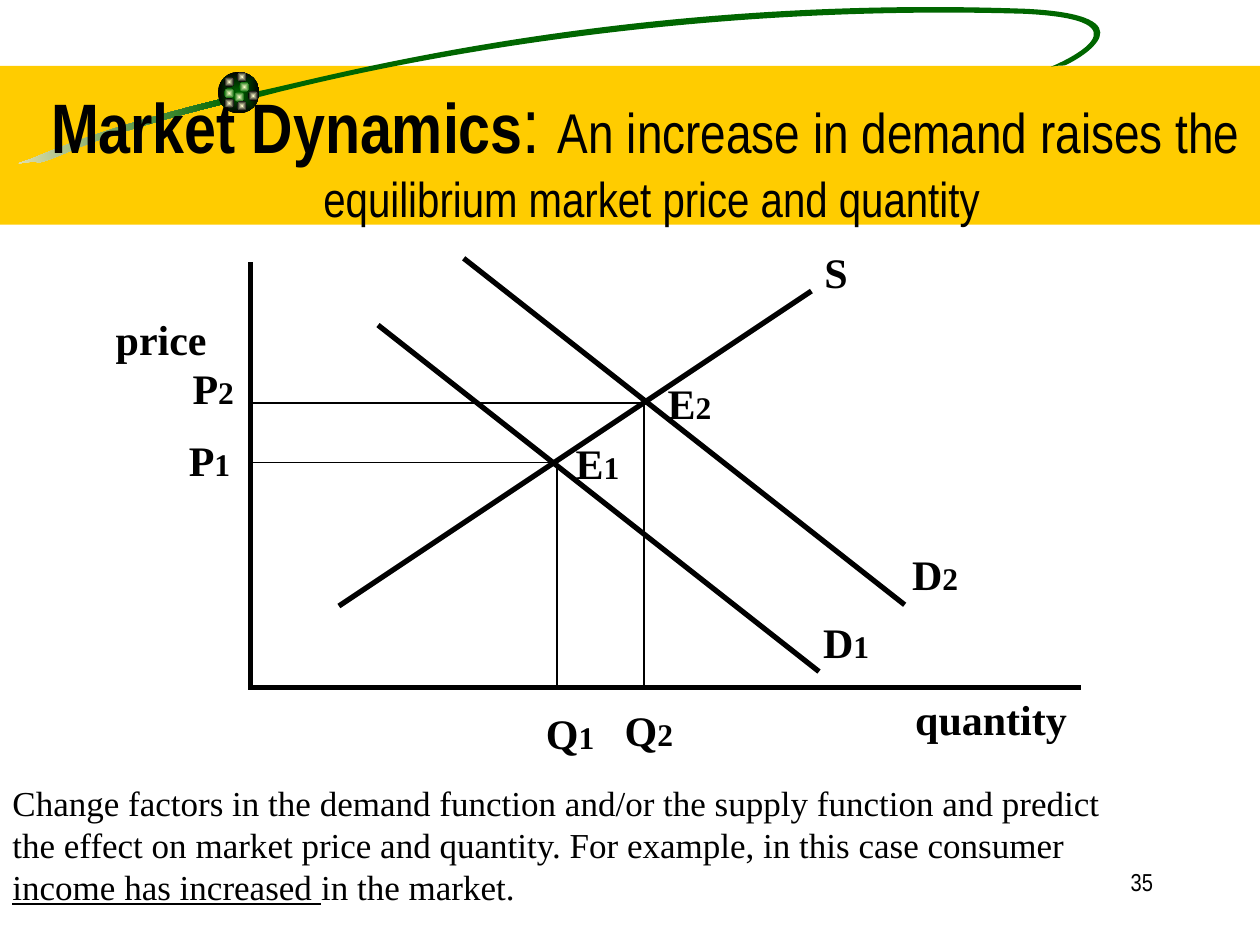
import math
import pptx
import pptx.dml.color
import pptx.enum.dml
import pptx.enum.shapes
import pptx.enum.text
import pptx.util
import lxml.etree

CELL = 0.1  # inches: the slide is a grid of 100 columns and 75 rows
SANS, SERIF = "Arial Narrow", "Times New Roman"
BLACK, GREEN, GOLD, CREAM = "000000", "006600", "FFCC00", "FFFFCC"
A = "http://schemas.openxmlformats.org/drawingml/2006/main"
OVAL = pptx.enum.shapes.MSO_SHAPE.OVAL
BAND = pptx.enum.shapes.MSO_SHAPE.RECTANGLE

TILT = -8.5  # degrees
TAIL_CENTRE, ORBIT_CENTRE = (8.9, 10.6), (55.9, 3.95)
TAIL = [(17.8, 7.8),
        (9.1, 9.9), (4.9, 11.6), (2.5, 12.6),
        (0.1, 13.4), (2.6, 12.6), (3.1, 12.9),
        (5.7, 12.2), (5.7, 11.3), (17.9, 8.2),
        (17.9, 8.2), (17.8, 7.8), (17.8, 7.8)]
ORBIT = [(20.2, 7.3),
         (24.6, 6.5), (48.6, -0.5), (81.4, 0.7),
         (91.7, 1.2), (85.7, 4.7), (84.5, 5.2),
         (84.5, 5.2), (83.8, 5.2), (83.4, 5.3),
         (84.4, 4.9), (91.7, 1.6), (81.3, 1.1),
         (54.8, 0.3), (32, 4.7), (20.6, 7.7),
         (20.6, 7.7), (20.2, 7.3), (20.2, 7.3)]
GREEN_SPARKS = [(19, 6.5), (17.8, 7), (18.6, 7.3)]
DARK_SPARKS = [(17.8, 6.1), (19.7, 7.2), (18.8, 8), (17.8, 7.8), (18.8, 5.7)]

# Per market state: demand curve start, equilibrium, then label places
MARKETS = {
    "1": ((30, 25.8), (44.2, 36.7),
          {"E": (44.7, 34.2, 5.7), "D": (64.35, 48.4, 14.3),
           "P": (14, 34, 5.5), "Q": (42.35, 55.65, 6)}),
    "2": ((36.8, 20.5), (51.1, 32),
          {"E": (52, 29.45, 5.7), "D": (71.4, 43, 14.3),
           "P": (14.3, 28.25, 5.5), "Q": (48.6, 55.4, 6)}),
}
AXIS_LEFT, AXIS_BOTTOM = 19.9, 54.54
NOTE = [("Change factors in the demand function and/or the supply function and "
         "predict the effect on market price and quantity. For example, in this "
         "case consumer ", 20),
        ("income has increased ", 20, {"underline": True}),
        ("in the market.", 20)]


def grid(*cells):
    """Turn grid columns or rows into lengths."""
    return [pptx.util.Inches(cell * CELL) for cell in cells]


def color(value):
    """Turn a hex string into a colour."""
    return pptx.dml.color.RGBColor.from_string(value)


def paint(shape, fill, radial=False):
    """Fill with one colour, or with a gradient between a pair of colours."""
    shape.shadow.inherit = False
    shape.line.fill.background()
    if isinstance(fill, str):
        shape.fill.solid()
        shape.fill.fore_color.rgb = color(fill)
        return
    shape.fill.gradient()
    shape.fill.gradient_angle = 0
    for stop, value in zip(shape.fill.gradient_stops, fill):
        stop.color.rgb = color(value)
    if radial:
        linear = shape.element.spPr.find(f".//{{{A}}}lin")
        centre = lxml.etree.Element(f"{{{A}}}path", {"path": "shape"})
        lxml.etree.SubElement(centre, f"{{{A}}}fillToRect",
                              {side: "50000" for side in "ltrb"})
        linear.getparent().replace(linear, centre)


def add_figure(slide, kind, place, fill, radial=False):
    """Add a painted preset shape."""
    paint(slide.shapes.add_shape(kind, *grid(*place)), fill, radial)


def turn(point, centre, degrees):
    """Turn a point clockwise about a centre."""
    angle = math.radians(degrees)
    x, y = point[0] - centre[0], point[1] - centre[1]
    return (centre[0] + x * math.cos(angle) - y * math.sin(angle),
            centre[1] + x * math.sin(angle) + y * math.cos(angle))


def add_swoosh(slide, knots, centre, fill):
    """Add a tilted closed outline of cubic curves."""
    level = [grid(*turn(knot, centre, -TILT)) for knot in knots]
    builder = slide.shapes.build_freeform(*level[0], scale=1.0)
    builder.add_line_segments(level[1:], close=True)
    swoosh = builder.convert_to_shape()
    segments = swoosh.element.spPr.findall(f".//{{{A}}}lnTo")
    for i in range(0, len(knots) - 1, 3):
        curve = lxml.etree.Element(f"{{{A}}}cubicBezTo")
        segments[i].addprevious(curve)
        for segment in segments[i:i + 3]:
            curve.append(segment[0])
            segment.getparent().remove(segment)
    swoosh.rotation = TILT
    paint(swoosh, fill)


def add_line(slide, start, end, weight):
    """Add a straight black line."""
    line = slide.shapes.add_connector(pptx.enum.shapes.MSO_CONNECTOR.STRAIGHT,
                                      *grid(*start, *end))
    line.line.color.rgb = color(BLACK)
    line.line.width = pptx.util.Pt(weight)
    lxml.etree.SubElement(line.element.spPr, f"{{{A}}}effectLst")


def write(frame, parts, font, bold=None, align=None):
    """Write one paragraph from (text, size, settings) parts."""
    frame.word_wrap = True
    paragraph = frame.paragraphs[0]
    paragraph.alignment = align
    paragraph.font.name = font
    paragraph.font.bold = bold
    paragraph.font.color.rgb = color(BLACK)
    for text, size, *settings in parts:
        run = paragraph.add_run()
        run.text = text
        run.font.size = pptx.util.Pt(size)
        for name, value in (settings[0] if settings else {}).items():
            setattr(run.font, name, value)


def add_text(slide, place, parts, font=SERIF, **style):
    """Add a text box with one paragraph."""
    box = slide.shapes.add_textbox(*grid(*place))
    write(box.text_frame, parts, font, **style)


def add_label(slide, place, name, index=""):
    """Add a bold graph label with an optional smaller index."""
    parts = [(name, 24)] + ([(index, 18)] if index else [])
    add_text(slide, (*place, 5.1), parts, bold=True)


def add_banner(slide):
    """Add the gold band with its orbit and sparkling ball."""
    add_figure(slide, BAND, (0, 5.24, 100, 12.6), GOLD)
    add_swoosh(slide, TAIL, TAIL_CENTRE, ("F5EBC1", GREEN))
    add_swoosh(slide, ORBIT, ORBIT_CENTRE, GREEN)
    add_figure(slide, OVAL, (17.3, 5.7, 3.3, 3.3), (GREEN, BLACK), radial=True)
    for sparks, edge in ((GREEN_SPARKS, GREEN), (DARK_SPARKS, BLACK)):
        for corner in sparks:
            add_figure(slide, OVAL, (*corner, 0.8, 0.8), (CREAM, edge), radial=True)


def add_title(slide):
    """Fill the title placeholder and bring it in front of the banner."""
    title = slide.shapes.title
    title.left, title.top, title.width, title.height = grid(2.5, 5.83, 97.5, 12.5)
    title.text_frame.auto_size = pptx.enum.text.MSO_AUTO_SIZE.NONE
    title.text_frame.vertical_anchor = pptx.enum.text.MSO_ANCHOR.MIDDLE
    write(title.text_frame,
          [("Market Dynamics", 40, {"bold": True}), (": ", 44),
           ("An increase in demand raises the", 32), (" ", 44),
           (" equilibrium market price and quantity", 28)],
          SANS, bold=False, align=pptx.enum.text.PP_ALIGN.CENTER)
    title.element.getparent().append(title.element)


def add_market(slide, index, demand, equilibrium, labels):
    """Add a demand curve, its equilibrium guides and their labels."""
    column, row = equilibrium
    add_line(slide, demand, (demand[0] + 35, demand[1] + 27.5), 3)
    add_line(slide, equilibrium, (column, AXIS_BOTTOM), 1)
    add_line(slide, equilibrium, (AXIS_LEFT, row), 1)
    for name, place in labels.items():
        add_label(slide, place, name, index)


def add_graph(slide):
    """Add the axes, the supply curve and both market states."""
    add_line(slide, (AXIS_LEFT, AXIS_BOTTOM), (85.8, AXIS_BOTTOM), 3)
    add_line(slide, (AXIS_LEFT, 20.8), (AXIS_LEFT, 54.75), 3)
    add_line(slide, (26.9, 48.1), (64.4, 23.1), 3)
    add_label(slide, (8.2, 24.4, 10.1), "price")
    add_label(slide, (71.65, 54.55, 14.2), "quantity")
    add_label(slide, (64.45, 19.1, 3.9), "S")
    for index, market in MARKETS.items():
        add_market(slide, index, *market)


def main():
    """Build the slide and save it."""
    deck = pptx.Presentation()
    deck.slide_width, deck.slide_height = grid(100, 75)
    slide = deck.slides.add_slide(deck.slide_layouts[5])
    add_banner(slide)
    add_text(slide, (71.7, 68.3, 20.8, 5), [("35", 14)], SANS,
             align=pptx.enum.text.PP_ALIGN.RIGHT)
    add_title(slide)
    add_graph(slide)
    add_text(slide, (0, 61.5, 89.2, 11.1), NOTE)
    deck.save("out.pptx")


main()
